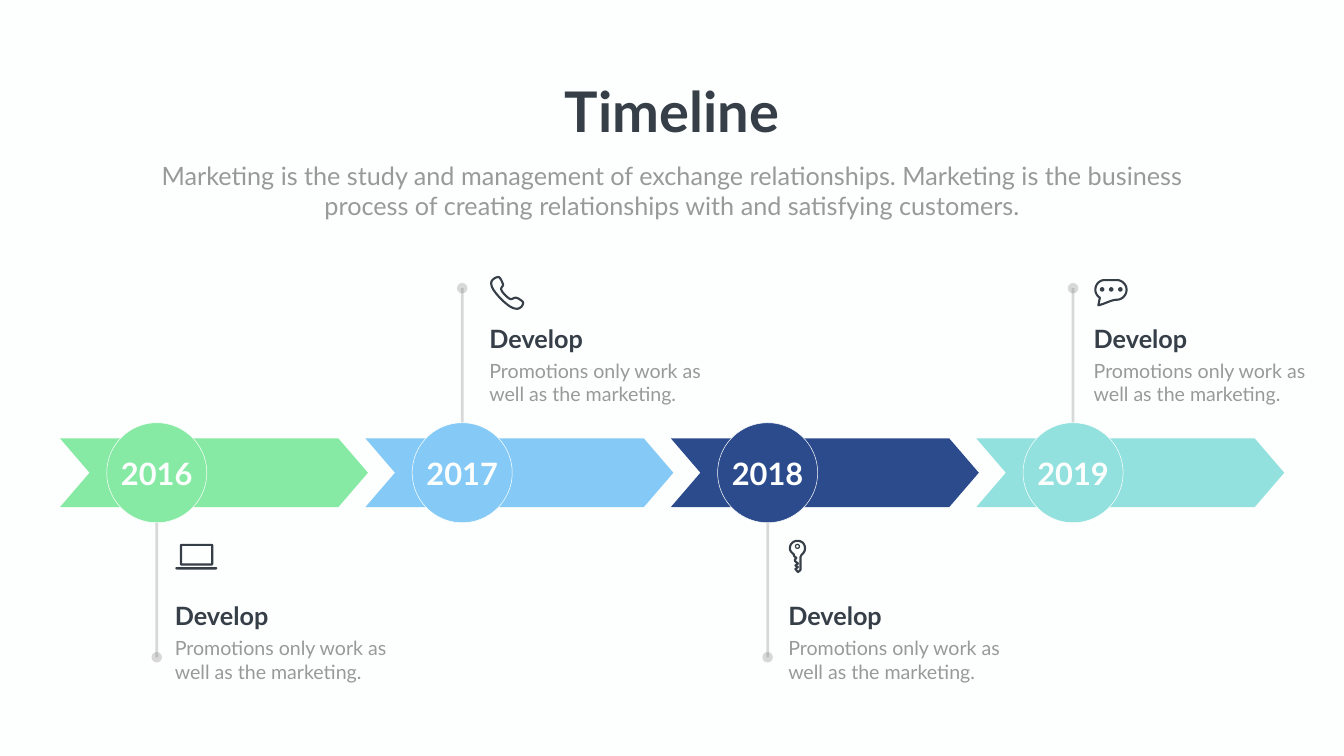
from lxml.etree import SubElement
from pptx import Presentation
from pptx.dml.color import RGBColor
from pptx.enum.shapes import MSO_CONNECTOR, MSO_SHAPE as Preset
from pptx.enum.text import MSO_ANCHOR as Anchor, MSO_AUTO_SIZE as AutoSize, PP_ALIGN as Align
from pptx.oxml.ns import qn
from pptx.util import Cm, Pt

FONT = "Lato"
COLORS = {
    "paper": "FDFFFE", "ink": "363E48", "muted": "999999", "pin": "808080",
    "green": "87EAA4", "sky": "85CAF6", "navy": "2C4B8D", "teal": "93E1DE",
}
ICON_UNIT = Cm(2.54) / 100
PITCH = 15.39
STAGES = [
    ("2016", "green", "laptop", "below", 0.66, 12.47),
    ("2017", "sky", "phone", "above", 1.12, 11.71),
    ("2018", "navy", "key", "below", 0.79, 11.46),
    ("2019", "teal", "bubble", "above", 0.79, 11.3),
]
SIDES = {
    "above": {"pin": -9.3, "icon": -9.05, "heading": -7.65},
    "below": {"pin": 9.3, "icon": 4.23, "heading": 6.32},
}
PHONE = [
    (17, 2), (12, 2, 5, 6, 3, 11), (1, 17, 5, 25, 8, 29), (17, 42, 30, 54, 39, 60),
    (47, 65, 54, 66, 58, 64), (64, 61, 67, 55, 65, 51), (62, 48, 55, 43, 51, 43),
    (47, 43, 45, 46, 41, 46), (35, 44, 23, 32, 22, 26), (22, 23, 26, 20, 26, 17),
    (25, 13, 20, 2, 17, 2),
]
BUBBLE = [
    (20, 2), (45, 2), (54, 2, 64, 10, 64, 21), (64, 32, 55, 41, 45, 41),
    (33, 41, 20, 50, 8, 52), (11, 37), (6, 34, 2, 28, 2, 21), (2, 11, 10, 2, 20, 2),
]
KEY = [
    (10, 29), (6, 26, 2, 22, 2, 17), (2, 8, 9, 2, 17, 2), (26, 2, 32, 8, 32, 17),
    (32, 23, 29, 26, 25, 30), (23, 34), (23, 60), (18, 64), (13, 58), (18, 54),
    (13, 51), (18, 47), (12, 42), (12, 39), (15, 36), (10, 32), (10, 29),
]


def color(name):
    return RGBColor.from_string(COLORS[name])


def set_opacity(shape, percent):
    for node in shape.element.spPr.iter(qn("a:srgbClr")):
        SubElement(node, qn("a:alpha"), val=str(percent * 1000))


def style_shape(shape, fill=None, line=None, weight=1):
    shape.shadow.inherit = False
    if fill:
        shape.fill.solid()
        shape.fill.fore_color.rgb = color(fill)
    else:
        shape.fill.background()
    if line:
        shape.line.color.rgb = color(line)
        shape.line.width = Pt(weight)
    else:
        shape.line.fill.background()
    return shape


def write(frame, text, size, tint, bold=False, align=Align.LEFT):
    paragraph = frame.paragraphs[0]
    paragraph.alignment = align
    run = paragraph.add_run()
    run.text = text
    run.font.name = FONT
    run.font.size = Pt(size)
    run.font.bold = bold
    run.font.color.rgb = color(tint)


def add_text(slide, box, text, size, tint, bold=False, align=Align.LEFT, wrap=True):
    frame = slide.shapes.add_textbox(*map(Cm, box)).text_frame
    frame.word_wrap = wrap
    frame.auto_size = AutoSize.SHAPE_TO_FIT_TEXT
    write(frame, text, size, tint, bold, align)


def trace(outline, steps=8):
    points = [outline[0]]
    for segment in outline[1:]:
        if len(segment) == 2:
            points.append(segment)
            continue
        nodes = [points[-1], segment[:2], segment[2:4], segment[4:]]
        for step in range(1, steps + 1):
            t = step / steps
            weights = ((1 - t) ** 3, 3 * t * (1 - t) ** 2, 3 * t * t * (1 - t), t ** 3)
            points.append(tuple(sum(w * n[axis] for w, n in zip(weights, nodes)) for axis in (0, 1)))
    return points


def add_outline(slide, left, top, outline):
    points = [(left + x * ICON_UNIT, top + y * ICON_UNIT) for x, y in trace(outline)]
    builder = slide.shapes.build_freeform(*points[0], scale=1.0)
    builder.add_line_segments(points[1:], close=True)
    style_shape(builder.convert_to_shape(), line="ink", weight=3)


def add_icon_part(slide, preset, left, top, box, **style):
    x, y, width, height = (round(value * ICON_UNIT) for value in box)
    shape = slide.shapes.add_shape(preset, left + x, top + y, width, height)
    return style_shape(shape, **style)


def draw_phone(slide, left, top):
    add_outline(slide, left, top, PHONE)


def draw_bubble(slide, left, top):
    add_outline(slide, left, top, BUBBLE)
    for x in (11, 29, 47):
        add_icon_part(slide, Preset.OVAL, left, top, (x, 16, 9, 9), fill="ink")


def draw_laptop(slide, left, top):
    screen = add_icon_part(slide, Preset.ROUNDED_RECTANGLE, left, top, (11, 2, 62, 39),
                           line="ink", weight=3)
    screen.adjustments[0] = 0.03
    base = add_icon_part(slide, Preset.ROUNDED_RECTANGLE, left, top, (0, 46, 83, 5), fill="ink")
    base.adjustments[0] = 0.5


def draw_key(slide, left, top):
    add_outline(slide, left, top, KEY)
    add_icon_part(slide, Preset.OVAL, left, top, (13, 9, 8, 8), line="ink", weight=1.75)


ICONS = {
    "phone": (draw_phone, 68), "bubble": (draw_bubble, 56),
    "laptop": (draw_laptop, 51), "key": (draw_key, 67),
}


def add_pin(slide, x, start, end):
    pin = slide.shapes.add_connector(MSO_CONNECTOR.STRAIGHT, Cm(x), Cm(start), Cm(x), Cm(end))
    pin.line.color.rgb = color("pin")
    pin.line.width = Pt(4)
    SubElement(pin.element.spPr, qn("a:effectLst"))
    set_opacity(pin, 30)
    size = 0.53
    dot = slide.shapes.add_shape(Preset.OVAL, Cm(x - size / 2), Cm(end - size / 2), Cm(size), Cm(size))
    set_opacity(style_shape(dot, fill="pin"), 30)


def add_caption(slide, left, middle, width, side, icon):
    draw, height = ICONS[icon]
    draw(slide, Cm(left + 0.28), Cm(middle + side["icon"]) - round(height * ICON_UNIT / 2))
    top = middle + side["heading"]
    add_text(slide, (left, top, 6.63, 1.8), "Develop", 36, "ink", bold=True)
    add_text(slide, (left, top + 1.78, width, 2.64),
             "Promotions only work as well as the marketing.", 28, "muted")


def add_stage(slide, box, year, tint, icon, side_name, gap, caption_width):
    left, top, width, height = box
    middle = top + height / 2
    center = left + 4.88
    side = SIDES[side_name]
    add_pin(slide, center, middle, middle + side["pin"])
    arrow = style_shape(slide.shapes.add_shape(Preset.CHEVRON, *map(Cm, box)), fill=tint)
    arrow.adjustments[0] = 0.43
    size = 5.04
    circle = slide.shapes.add_shape(Preset.OVAL, Cm(center - size / 2), Cm(middle - size / 2),
                                    Cm(size), Cm(size))
    style_shape(circle, fill=tint, line="paper", weight=0.75)
    frame = circle.text_frame
    frame.word_wrap = False
    frame.vertical_anchor = Anchor.MIDDLE
    write(frame, year, 44, "paper", bold=True, align=Align.CENTER)
    add_caption(slide, center + gap, middle, caption_width, side, icon)


def add_header(slide, box):
    left, top, width = box
    title_width = 11.5
    add_text(slide, (left + (width - title_width) / 2, top, title_width, 3.68),
             "Timeline", 80, "ink", bold=True, align=Align.CENTER, wrap=False)
    add_text(slide, (left, top + 4.22, width, 3.33),
             "Marketing is the study and management of exchange relationships. Marketing is "
             "the business process of creating relationships with and satisfying customers.",
             36, "muted", align=Align.CENTER)


def main():
    presentation = Presentation()
    presentation.slide_width = Cm(67.72)
    presentation.slide_height = Cm(38.1)
    slide = presentation.slides.add_slide(presentation.slide_layouts[6])
    slide.background.fill.solid()
    slide.background.fill.fore_color.rgb = color("paper")
    add_header(slide, (6.81, 3.73, 54.1))
    for index, stage in enumerate(STAGES):
        add_stage(slide, (3.02 + index * PITCH, 22.09, 15.52, 3.47), *stage)
    presentation.save("out.pptx")


if __name__ == "__main__":
    main()
